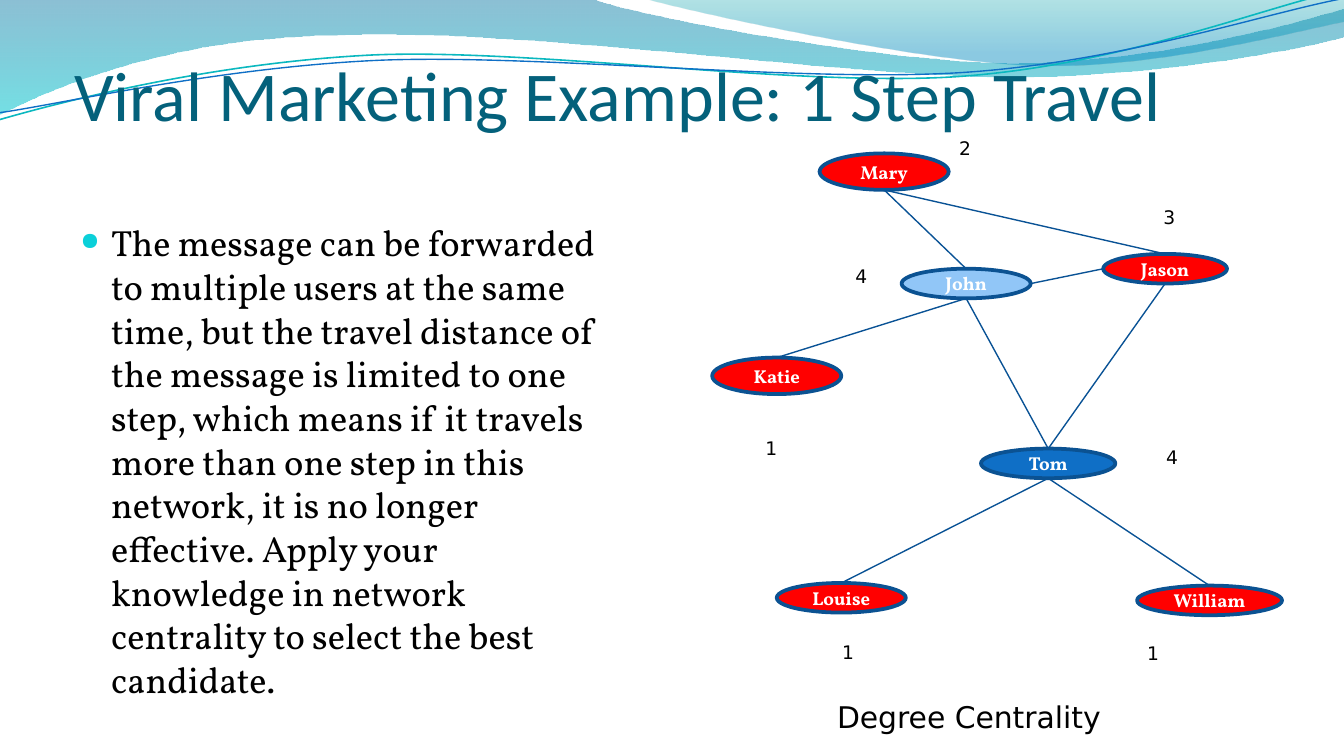
from lxml import etree
from pptx import Presentation
from pptx import util as u
from pptx.dml.color import RGBColor
from pptx.enum import shapes, text
from pptx.oxml.ns import qn

TITLE = "Viral Marketing Example: 1 Step Travel"
MESSAGE = (
    "The message can be forwarded to multiple users at the same time, but the travel "
    "distance of the message is limited to one step, which means if it travels more than "
    "one step in this network, it is no longer effective. Apply your knowledge in network "
    "centrality to select the best candidate."
)
CAPTION = "Degree Centrality"
RED = "FF0000"

# name: (left, top, width, height), fill, (left, top) of the degree label, all in cm
PEOPLE = {
    "John": ((17.04, 5.08, 2.44, 0.56), "91C6F7", (15.57, 4.88)),
    "Tom": ((18.54, 8.48, 2.54, 0.56), "0F6FC6", (21.44, 8.31)),
    "Jason": ((20.85, 4.8, 2.34, 0.56), RED, (21.39, 3.76)),
    "Mary": ((15.49, 2.9, 2.44, 0.69), RED, (17.53, 2.46)),
    "Katie": ((13.46, 6.76, 2.44, 0.69), RED, (13.87, 8.13)),
    "Louise": ((14.68, 11.02, 2.44, 0.56), RED, (15.32, 11.99)),
    "William": ((21.49, 11.07, 2.74, 0.56), RED, (21.08, 12.01)),
}
# person, side, person, side
TIES = [
    ("Mary", "bottom", "John", "top"),
    ("John", "bottom", "Tom", "top"),
    ("Katie", "top", "John", "bottom"),
    ("Mary", "bottom", "Jason", "top"),
    ("John", "right", "Jason", "left"),
    ("Tom", "bottom", "Louise", "top"),
    ("Tom", "bottom", "William", "top"),
    ("Jason", "bottom", "Tom", "top"),
]
SIDES = {"top": (0.5, 0), "left": (0, 0.5), "bottom": (0.5, 1), "right": (1, 0.5)}

# Each step is one point (straight) or three points (Bezier curve), in cm
BANDS = [
    ([[(0, 0)], [(11.18, -0.02)],
      [(12.09, 0.33), (16.87, 1.19), (19.25, 1.19)],
      [(21.67, 1.19), (24.33, 0.48), (25.4, 0.18)], [(25.43, 0.69)],
      [(24.97, 0.84), (22.1, 1.45), (18.95, 1.45)],
      [(15.8, 1.42), (9.7, 0.53), (6.53, 0.66)],
      [(3.28, 0.69), (1.17, 1.57), (-0.03, 2.16)]],
     [(0, "0074A1", 45), (1, "00C6CF", 55)]),
    ([[(12.17, -0.03)],
      [(12.93, 0.2), (17.32, 1.17), (19.53, 1.24)],
      [(21.74, 1.32), (24.41, 0.61), (25.4, 0.41)], [(25.4, 0)]],
     [(0, "00A1A9", 30), (0.8, "008BBF", 45)]),
]
STRANDS = [
    ([[(0, 2.26)],
      [(1.22, 1.91), (4.01, 1.19), (7.04, 1.04)],
      [(10.06, 0.91), (15.04, 1.65), (18.08, 1.45)],
      [(21.16, 1.24), (23.85, 0.15), (25.35, -0.18)]], "0AB8BF", 0.85),
    ([[(0, 2.13)],
      [(1.19, 1.96), (4.17, 1.27), (7.19, 1.14)],
      [(10.24, 1.02), (15.16, 1.57), (18.21, 1.37)],
      [(21.23, 1.17), (23.9, 0.25), (25.4, -0.03)]], "0F6FC6", 0.75),
]


def color(code):
    return RGBColor.from_string(code)


def add_wave(steps, close):
    """Draw the end points as an outline, then bend the curved steps."""
    ends = [(u.Cm(x), u.Cm(y)) for x, y in (step[-1] for step in steps)]
    builder = slide.shapes.build_freeform(*ends[0])
    builder.add_line_segments(ends[1:], close=close)
    wave = builder.convert_to_shape()
    wave.shadow.inherit = False
    for segment, step in zip(list(wave._element.iter(qn("a:lnTo"))), steps[1:]):
        if len(step) == 3:
            curve = etree.Element(qn("a:cubicBezTo"))
            for x, y in step:
                etree.SubElement(curve, qn("a:pt"), x=str(u.Cm(x) - wave.left),
                                 y=str(u.Cm(y) - wave.top))
            segment.getparent().replace(segment, curve)
    return wave


def add_band(steps, stops):
    band = add_wave(steps, True)
    band.line.fill.background()
    band.fill.gradient()
    band.fill.gradient_angle = 270
    for stop, (position, code, _) in zip(band.fill.gradient_stops, stops):
        stop.position = position
        stop.color.rgb = color(code)
    for node, (_, _, opacity) in zip(band._element.iter(qn("a:srgbClr")), stops):
        etree.SubElement(node, qn("a:alpha"), val=str(opacity * 1000))


def add_strand(steps, code, weight):
    strand = add_wave(steps, False)
    strand.fill.background()
    strand.line.color.rgb = color(code)
    strand.line.width = u.Pt(weight)


def write(shape, words, size, font, code="000000", bold=False, centred=False):
    para = shape.text_frame.paragraphs[0]
    para.text = words
    para.alignment = text.PP_ALIGN.CENTER if centred else text.PP_ALIGN.LEFT
    span = para.runs[0].font
    span.size, span.name, span.bold = u.Pt(size), font, bold
    span.color.rgb = color(code)
    return para


def add_text(area, *style, **options):
    box = slide.shapes.add_textbox(*map(u.Cm, area))
    box.text_frame.word_wrap = True
    return box, write(box, *style, **options)


def add_bullet(para, sign, code, percent):
    props = para._p.get_or_add_pPr()
    props.set("marL", str(u.Cm(0.58)))
    props.set("indent", str(-u.Cm(0.58)))
    tint = etree.SubElement(props, qn("a:buClr"))
    etree.SubElement(tint, qn("a:srgbClr"), val=code)
    etree.SubElement(props, qn("a:buSzPct"), val=str(percent * 1000))
    etree.SubElement(props, qn("a:buChar"), char=sign)


def add_person(name, area, fill):
    oval = slide.shapes.add_shape(shapes.MSO_SHAPE.OVAL, *map(u.Cm, area))
    oval.shadow.inherit = False
    oval.fill.solid()
    oval.fill.fore_color.rgb = color(fill)
    oval.line.color.rgb = color("0B5292")
    oval.line.width = u.Pt(2)
    oval.text_frame.word_wrap = False
    oval.text_frame.vertical_anchor = text.MSO_ANCHOR.MIDDLE
    write(oval, name, 10, "Vollkorn", "FFFFFF", bold=True, centred=True)


def side_point(name, side):
    left, top, width, height = PEOPLE[name][0]
    across, down = SIDES[side]
    return u.Cm(left + across * width), u.Cm(top + down * height)


def add_tie(first, first_side, second, second_side):
    tie = slide.shapes.add_connector(shapes.MSO_CONNECTOR.STRAIGHT,
                                     *side_point(first, first_side),
                                     *side_point(second, second_side))
    tie.line.color.rgb = color("095295")
    tie.line.width = u.Pt(0.75)
    etree.SubElement(tie._element.spPr, qn("a:effectLst"))


deck = Presentation()
deck.slide_width, deck.slide_height = u.Cm(25.4), u.Cm(14.29)
slide = deck.slides.add_slide(deck.slide_layouts[6])

for band in BANDS:
    add_band(*band)
for strand in STRANDS:
    add_strand(*strand)

title, _ = add_text((1.4, 0.18, 22.86, 2.39), TITLE, 37.5, "Calibri", "04617B")
title.text_frame.vertical_anchor = text.MSO_ANCHOR.BOTTOM
title.text_frame.margin_left = title.text_frame.margin_right = 0
title.text_frame.margin_bottom = 0

_, message = add_text((1.27, 4.04, 10.39, 9.14), MESSAGE, 19.5, "Vollkorn")
message.space_before = u.Pt(4)
add_bullet(message, "●", "0BD0D9", 67)

for name, (area, fill, _) in PEOPLE.items():
    add_person(name, area, fill)
for tie in TIES:
    add_tie(*tie)
for name, (_, _, corner) in PEOPLE.items():
    degree = sum(name in tie for tie in TIES)
    add_text((*corner, 1.42, 0.69), str(degree), 10, "DejaVu Sans", centred=True)
add_text((15.57, 13.08, 8.15, 0.94), CAPTION, 16, "DejaVu Sans")

deck.save("out.pptx")
